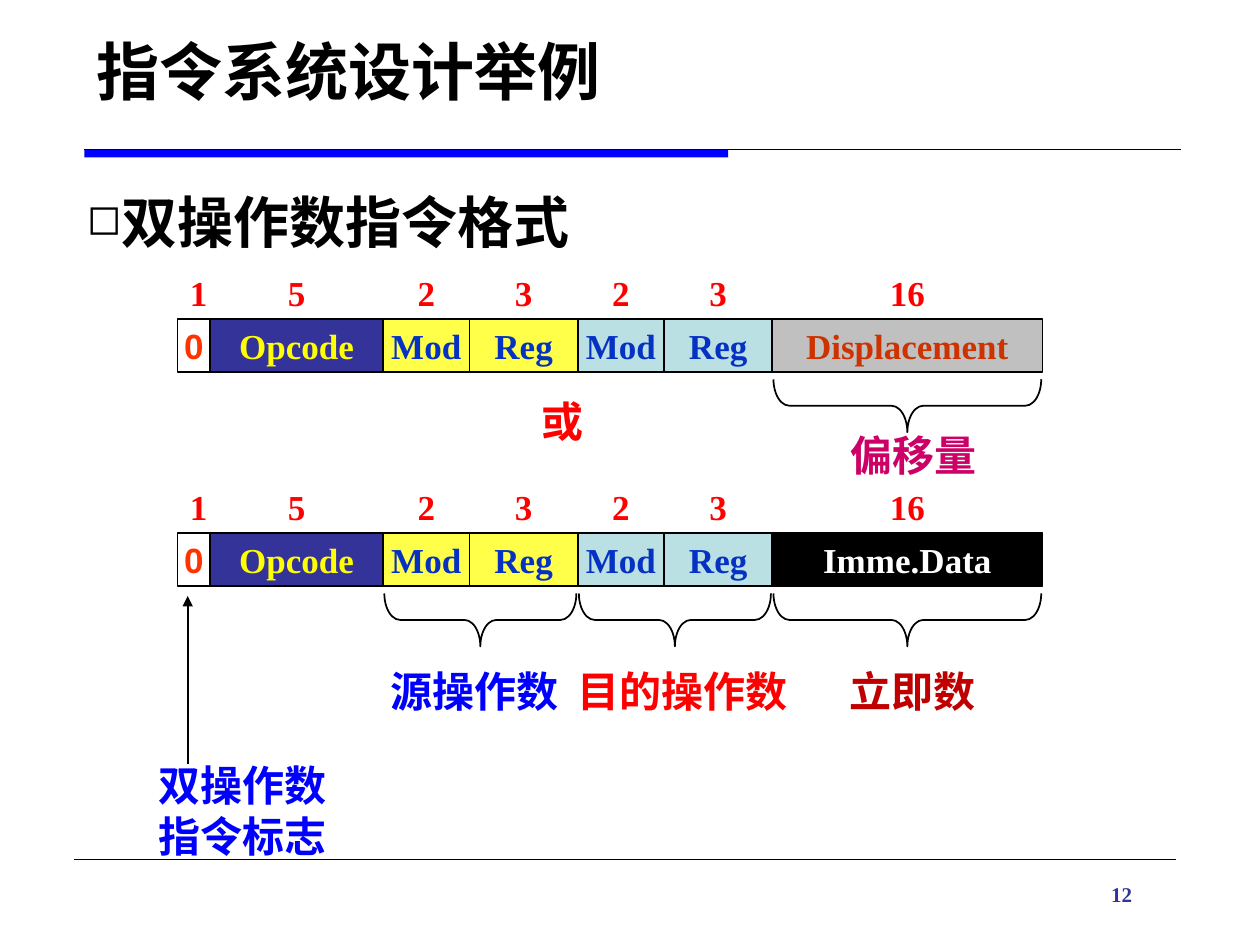
"""Builds a slide on two-operand instruction formats, placed on a grid of 100 columns by 75 rows."""
from dataclasses import dataclass
from itertools import accumulate
from typing import Any, NamedTuple, Optional

from lxml.etree import SubElement
from pptx import Presentation
from pptx.dml.color import RGBColor
from pptx.enum.shapes import MSO_CONNECTOR as Connector, MSO_SHAPE as Preset
from pptx.enum.text import MSO_ANCHOR as Anchor, PP_ALIGN as Align
from pptx.oxml.ns import qn
from pptx.util import Emu, Inches, Pt

COLUMNS, ROWS = 100, 75
CELL = Inches(0.1)


@dataclass(frozen=True)
class Theme:
    serif: str = "Times New Roman"
    sans: str = "Arial"
    black: str = "000000"
    white: str = "FFFFFF"
    blue: str = "0000FF"
    navy: str = "333399"
    ink: str = "0532C3"
    red: str = "FF0000"
    orange: str = "FF3300"
    rust: str = "CC3300"
    crimson: str = "C00000"
    magenta: str = "CC0066"
    yellow: str = "FFFF00"
    lemon: str = "FFFF49"
    aqua: str = "BBE0E3"
    grey: str = "C0C0C0"
    title: int = 36
    heading: int = 32
    label: int = 24
    field: int = 20
    number: int = 12


THEME = Theme()


class Box(NamedTuple):
    column: float
    row: float
    columns: float
    rows: float

    def emu(self) -> list[Emu]:
        return [Emu(round(length * CELL)) for length in self]


class Style(NamedTuple):
    size: int
    color: str
    font: str = THEME.serif
    align: Align = Align.CENTER
    anchor: Anchor = Anchor.TOP
    wrap: bool = True


class Field(NamedTuple):
    bits: int
    units: int
    name: str
    fill: Optional[str]
    color: str
    font: str = THEME.serif


class Label(NamedTuple):
    text: str
    color: str
    box: Box


class Brace(NamedTuple):
    first: int
    last: int
    row: float


UNIT = 0.858
LEFT = 14.1
FIELD_ROWS = 4.2
BRACE_GAP, BRACE_DEPTH = 0.6, 4.2

COMMON = [
    Field(1, 3, "0", None, THEME.orange, THEME.sans),
    Field(5, 16, "Opcode", THEME.navy, THEME.yellow),
    Field(2, 8, "Mod", THEME.lemon, THEME.ink),
    Field(3, 10, "Reg", THEME.lemon, THEME.ink),
    Field(2, 8, "Mod", THEME.aqua, THEME.ink),
    Field(3, 10, "Reg", THEME.aqua, THEME.ink),
]
FORMATS = {
    21.1: COMMON + [Field(16, 25, "Displacement", THEME.grey, THEME.rust)],
    38.1: COMMON + [Field(16, 25, "Imme.Data", THEME.black, THEME.white)],
}
EDGES = [LEFT + UNIT * units for units in
         accumulate((field.units for field in FORMATS[21.1]), initial=0)]

BRACES = [Brace(6, 6, 21.1), Brace(2, 3, 38.1), Brace(4, 5, 38.1), Brace(6, 6, 38.1)]
LABELS = [
    Label("或", THEME.red, Box(36.1, 30.9, 17.1, 5.1)),
    Label("偏移量", THEME.magenta, Box(63.9, 33.6, 17.2, 5.1)),
    Label("源操作数", THEME.blue, Box(25.2, 52.3, 24.9, 5.1)),
    Label("目的操作数", THEME.red, Box(40.3, 52.3, 27.7, 5.1)),
    Label("立即数", THEME.crimson, Box(63.8, 52.3, 17.2, 5.1)),
    Label("双操作数\n指令标志", THEME.blue, Box(6.4, 59.8, 25.7, 9)),
]


def rgb(color: str) -> RGBColor:
    return RGBColor.from_string(color)


def assign(target: Any, values: dict[str, Any]) -> None:
    for name, value in values.items():
        setattr(target, name, value)


def write(shape: Any, text: str, style: Style) -> None:
    frame = shape.text_frame
    assign(frame, {"text": text, "word_wrap": style.wrap, "vertical_anchor": style.anchor})
    for paragraph in frame.paragraphs:
        paragraph.alignment = style.align
        for run in paragraph.runs:
            assign(run.font, {"name": style.font, "size": Pt(style.size), "bold": True})
            run.font.color.rgb = rgb(style.color)


def add_text(slide: Any, box: Box, text: str, style: Style) -> Any:
    textbox = slide.shapes.add_textbox(*box.emu())
    write(textbox, text, style)
    return textbox


def add_preset(slide: Any, preset: Preset, box: Box, fill: Optional[str],
               outline: Optional[str] = THEME.black) -> Any:
    shape = slide.shapes.add_shape(preset, *box.emu())
    shape.shadow.inherit = False
    for paint, color in ((shape.fill, fill), (shape.line.fill, outline)):
        if color:
            paint.solid()
            paint.fore_color.rgb = rgb(color)
        else:
            paint.background()
    if outline:
        shape.line.width = Pt(1)
    return shape


def add_line(slide: Any, ends: Box, width: float, arrow: bool = False) -> None:
    line = slide.shapes.add_connector(Connector.STRAIGHT, *ends.emu())
    line.line.color.rgb = rgb(THEME.black)
    line.line.width = Pt(width)
    if arrow:
        SubElement(line.line._get_or_add_ln(), qn("a:tailEnd"), type="triangle")
    SubElement(line._element.spPr, qn("a:effectLst"))


def add_format(slide: Any, row: float, fields: list[Field]) -> None:
    for left, field in zip(EDGES, fields):
        bits = Box(left, row, field.units * UNIT, FIELD_ROWS)
        style = Style(THEME.field, THEME.red, anchor=Anchor.MIDDLE, wrap=False)
        add_text(slide, bits, str(field.bits), style)
        cell = add_preset(slide, Preset.RECTANGLE, bits._replace(row=row + FIELD_ROWS), field.fill)
        write(cell, field.name, style._replace(color=field.color, font=field.font))


def add_brace(slide: Any, brace: Brace) -> None:
    left, right = EDGES[brace.first], EDGES[brace.last + 1]
    span = right - left - 0.2
    middle = brace.row + 2 * FIELD_ROWS + BRACE_GAP + BRACE_DEPTH / 2
    box = Box((left + right - BRACE_DEPTH) / 2, middle - span / 2, BRACE_DEPTH, span)
    shape = add_preset(slide, Preset.LEFT_BRACE, box, None)
    shape.rotation = 270
    shape.adjustments[0] = 0.3


def add_heading(slide: Any, text: str) -> None:
    heading = add_text(slide, Box(5.9, 13.8, 88.2, 9.5), text,
                       Style(THEME.heading, THEME.black, align=Align.LEFT))
    heading.text_frame.margin_top = Inches(0.15)
    paragraph = heading.text_frame.paragraphs[0]
    paragraph.line_spacing = 0.95
    properties = paragraph._p.get_or_add_pPr()
    assign_bullet = {"marL": Inches(0.27), "indent": -Inches(0.27)}
    for name, value in assign_bullet.items():
        properties.set(name, str(value))
    SubElement(properties, qn("a:buSzPct"), val="75000")
    SubElement(properties, qn("a:buChar"), char="◻")


def main() -> None:
    deck = Presentation()
    assign(deck, {"slide_width": COLUMNS * CELL, "slide_height": ROWS * CELL})
    slide = deck.slides.add_slide(deck.slide_layouts[6])
    add_preset(slide, Preset.RECTANGLE, Box(6.7, 11.9, 51.1, 0.6), THEME.blue, None)
    add_line(slide, Box(6.7, 11.9, 93.7, 11.9), 0.5)
    add_line(slide, Box(5.9, 68.2, 93.3, 68.2), 0.25)
    add_text(slide, Box(87.2, 69.5, 5, 3), "12",
             Style(THEME.number, THEME.navy, align=Align.LEFT))
    add_text(slide, Box(6.7, 2.1, 84.3, 7), "指令系统设计举例",
             Style(THEME.title, THEME.black, align=Align.LEFT, anchor=Anchor.BOTTOM))
    add_heading(slide, "双操作数指令格式")
    for row, fields in FORMATS.items():
        add_format(slide, row, fields)
    for brace in BRACES:
        add_brace(slide, brace)
    for label in LABELS:
        add_text(slide, label.box, label.text, Style(THEME.label, label.color, THEME.sans))
    add_line(slide, Box(14.9, 60.6, 14.9, 47.3), 1, arrow=True)
    deck.save("out.pptx")


if __name__ == "__main__":
    main()
